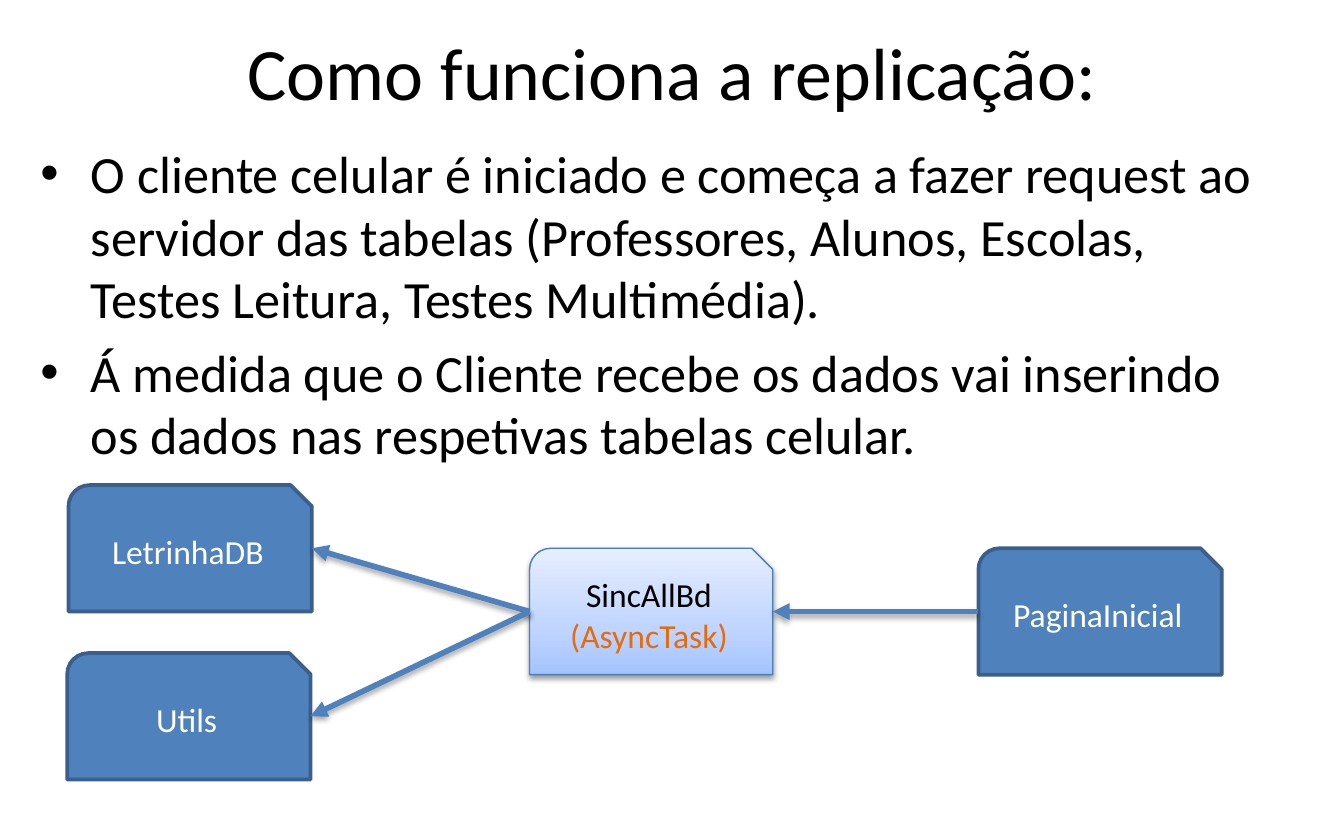
from copy import deepcopy

from lxml.etree import SubElement as Sub
from pptx import Presentation
from pptx.dml.color import RGBColor as Rgb
from pptx.enum.shapes import MSO_CONNECTOR as Conn, MSO_SHAPE as Shape
from pptx.enum.text import MSO_ANCHOR as Anchor, MSO_AUTO_SIZE as Auto, PP_ALIGN as Align
from pptx.oxml.ns import qn
from pptx.util import Inches, Pt

BLACK = Rgb(0, 0, 0)
WHITE = Rgb(255, 255, 255)
BLUE = Rgb(0x4F, 0x81, 0xBD)
NAVY = Rgb(0x3A, 0x5F, 0x8C)
EDGE = Rgb(0x4B, 0x7E, 0xBC)
ORANGE = Rgb(0xE4, 0x6C, 0x0A)
FADE = [(0, Rgb(0xA4, 0xC4, 0xFF)), (0.35, Rgb(0xBF, 0xD4, 0xFF)),
        (1, Rgb(0xE6, 0xEE, 0xFF))]

FONT = "Calibri"
BOX_W, BOX_H = 18.1, 9.4

TITLE = "Como funciona a replicação:"
POINTS = [
    "O cliente celular é iniciado e começa a fazer request ao servidor das "
    "tabelas (Professores, Alunos, Escolas, Testes Leitura, Testes Multimédia).",
    "Á medida que o Cliente recebe os dados vai inserindo os dados nas "
    "respetivas tabelas celular.",
]


def grid(*cells):
    """Turn grid steps into lengths: the slide is 100 columns by 62.5 rows."""
    return [Inches(n / 10) for n in cells]


def style(para, size, color, align=None):
    para.font.name, para.font.size = FONT, Pt(size)
    para.font.color.rgb = color
    if align is not None:
        para.alignment = align


def fill_text(frame, lines, size, colors, align=None):
    frame.text = "\n".join(lines)
    frame.word_wrap = True
    for para, color in zip(frame.paragraphs, colors):
        style(para, size, color, align)


def holder(shape, place, lines, size, align=None):
    shape.left, shape.top, shape.width, shape.height = grid(*place)
    fill_text(shape.text_frame, lines, size, [BLACK] * len(lines), align)
    shape.text_frame.auto_size = Auto.NONE


def shade(shape, blur, dist, alpha):
    """Drop a soft black shadow straight down."""
    props = shape._element.spPr
    for old in props.findall(qn("a:effectLst")):
        props.remove(old)
    glow = Sub(Sub(props, qn("a:effectLst")), qn("a:outerShdw"),
               blurRad=str(Pt(blur)), dist=str(Pt(dist)),
               dir="5400000", rotWithShape="0")
    tone = Sub(glow, qn("a:srgbClr"), val=str(BLACK))
    Sub(tone, qn("a:alpha"), val=str(alpha * 1000))


def fade(fill):
    """Paint the three-stop gradient, from bottom to top."""
    fill.gradient()
    fill.gradient_angle = 90
    stops = fill._xPr.find(qn("a:gradFill")).find(qn("a:gsLst"))
    stops.append(deepcopy(stops[-1]))
    for stop, (pos, color) in zip(fill.gradient_stops, FADE):
        stop.position, stop.color.rgb = pos, color


def box(slide, left, top, lines, colors=(WHITE,), light=False):
    shape = slide.shapes.add_shape(
        Shape.SNIP_ROUND_RECTANGLE, *grid(left, top, BOX_W, BOX_H))
    shape.shadow.inherit = False
    if light:
        fade(shape.fill)
    else:
        shape.fill.solid()
        shape.fill.fore_color.rgb = BLUE
    shape.line.color.rgb = EDGE if light else NAVY
    shape.line.width = Pt(0.75 if light else 2)
    if light:
        shade(shape, 3.1, 1.6, 38)
    fill_text(shape.text_frame, lines, 18, colors, Align.CENTER)
    shape.text_frame.vertical_anchor = Anchor.MIDDLE
    return shape


def arrow(slide, source, target):
    """Link the left side of source to the right side of target."""
    line = slide.shapes.add_connector(
        Conn.STRAIGHT,
        source.left, source.top + source.height // 2,
        target.left + target.width, target.top + target.height // 2)
    line.line.color.rgb = BLUE
    line.line.width = Pt(3)
    Sub(line.line._get_or_add_ln(), qn("a:tailEnd"), type="triangle")
    shade(line, 3.1, 1.8, 35)


def main():
    prs = Presentation()
    prs.slide_width, prs.slide_height = grid(100, 62.5)
    slide = prs.slides.add_slide(prs.slide_layouts[1])

    # Title and list
    title, body = slide.placeholders
    holder(title, (5, 1.3, 90, 7.9), [TITLE], 39.6, Align.CENTER)
    holder(body, (2, 10, 93, 45.1), POINTS, 28)

    # Classes
    store = box(slide, 5.1, 36.1, ["LetrinhaDB"])
    task = box(slide, 39.4, 40.8, ["SincAllBd", "(AsyncTask)"],
               (BLACK, ORANGE), light=True)
    page = box(slide, 72.8, 40.8, ["PaginaInicial"])
    utils = box(slide, 5, 48.6, ["Utils"])

    # Calls between them
    for source, target in [(page, task), (task, store), (task, utils)]:
        arrow(slide, source, target)

    prs.save("out.pptx")


main()
